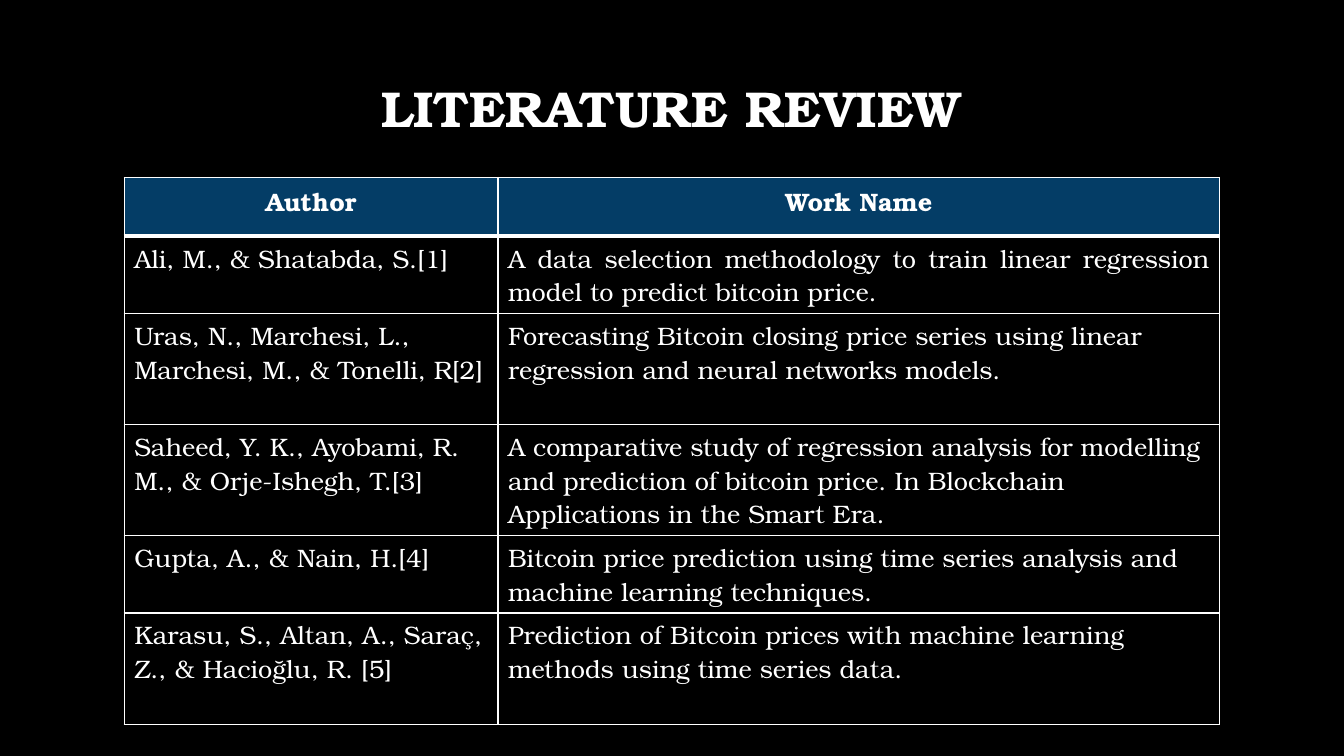
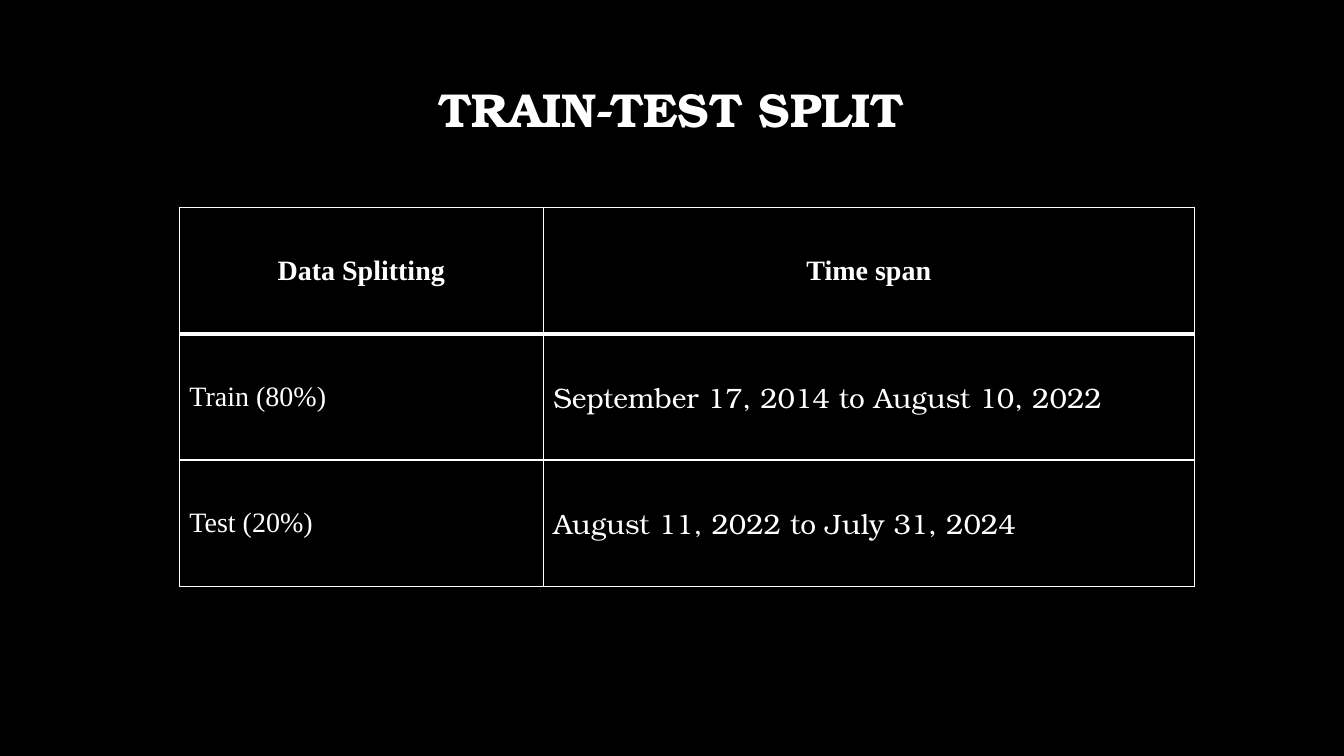
from dataclasses import dataclass

from lxml import etree
from pptx import Presentation
from pptx import util as u
from pptx.dml.color import RGBColor
from pptx.enum import text
from pptx.oxml import ns

Align = text.PP_ALIGN
Anchor = text.MSO_ANCHOR


@dataclass(frozen=True)
class Theme:
    background: str = "000000"
    ink: str = "FFFFFF"
    header: str = "043D66"
    serif: str = "TeX Gyre Bonum"
    times: str = "Times New Roman"
    title_large: int = 36
    title_small: int = 34
    body: int = 18
    body_large: int = 20
    thin: float = 1
    thick: float = 3


THEME = Theme()


@dataclass(frozen=True)
class Entry:
    words: str
    font: str = THEME.serif
    align: Align = Align.LEFT


@dataclass(frozen=True)
class TableSlide:
    """One slide; lengths are in centimetres, the first row is the header."""
    title: str
    title_size: int
    title_top: float
    title_height: float
    left: float
    top: float
    columns: tuple[float, ...]
    heights: tuple[float, ...]
    rows: tuple[tuple[Entry, ...], ...]
    size: int
    anchor: Anchor
    header_fill: str | None = None


def heading(words: str, font: str = THEME.serif) -> Entry:
    return Entry(words, font, Align.CENTER)


SLIDES = (
    TableSlide(
        title="LITERATURE REVIEW", title_size=THEME.title_large,
        title_top=1.19, title_height=3.23,
        left=3.13, top=4.47, columns=(9.42, 18.19),
        heights=(1.48, 1.95, 2.8, 2.8, 1.95, 2.8),
        size=THEME.body, anchor=Anchor.TOP, header_fill=THEME.header,
        rows=(
            (heading("Author"), heading("Work Name")),
            (Entry("Ali, M., & Shatabda, S.[1]"),
             Entry("A data selection methodology to train linear regression "
                   "model to predict bitcoin price.", align=Align.JUSTIFY)),
            (Entry("Uras, N., Marchesi, L., Marchesi, M., & Tonelli, R[2]"),
             Entry("Forecasting Bitcoin closing price series using linear "
                   "regression and neural networks models.")),
            (Entry("Saheed, Y. K., Ayobami, R. M., & Orje-Ishegh, T.[3]"),
             Entry("A comparative study of regression analysis for modelling "
                   "and prediction of bitcoin price. In Blockchain "
                   "Applications in the Smart Era.")),
            (Entry("Gupta, A., & Nain, H.[4]"),
             Entry("Bitcoin price prediction using time series analysis and "
                   "machine learning techniques.")),
            (Entry("Karasu, S., Altan, A., Saraç, Z., & Hacioğlu, R. [5]"),
             Entry("Prediction of Bitcoin prices with machine learning "
                   "methods using time series data.")),
        ),
    ),
    TableSlide(
        title="TRAIN-TEST SPLIT", title_size=THEME.title_small,
        title_top=1.12, title_height=3.4,
        left=4.52, top=5.23, columns=(9.17, 16.41), heights=(3.18,) * 3,
        size=THEME.body_large, anchor=Anchor.MIDDLE,
        rows=(
            (heading("Data Splitting", THEME.times),
             heading("Time span", THEME.times)),
            (Entry("Train (80%)", THEME.times),
             Entry("September 17, 2014 to August 10, 2022")),
            (Entry("Test (20%)", THEME.times),
             Entry("August 11, 2022 to July 31, 2024")),
        ),
    ),
)


def write(frame, words: str, *, size: int, font: str = THEME.serif,
          bold: bool = False, align: Align = Align.LEFT,
          spacing: float = 1.0) -> None:
    para = frame.paragraphs[0]
    para.alignment = align
    para.line_spacing = spacing
    span = para.add_run()
    span.text = words
    span.font.name = font
    span.font.size = u.Pt(size)
    span.font.bold = bold
    span.font.color.rgb = RGBColor.from_string(THEME.ink)


def set_borders(cell, *, top: float, bottom: float) -> None:
    """Draw the four cell edges; the schema wants them ahead of the fill."""
    properties = cell._tc.get_or_add_tcPr()
    edges = {"lnL": THEME.thin, "lnR": THEME.thin, "lnT": top, "lnB": bottom}
    for index, (tag, width) in enumerate(edges.items()):
        line = etree.Element(ns.qn(f"a:{tag}"), w=str(u.Pt(width)))
        fill = etree.SubElement(line, ns.qn("a:solidFill"))
        etree.SubElement(fill, ns.qn("a:srgbClr"), val=THEME.ink)
        properties.insert(index, line)


def add_title(page, content: TableSlide) -> None:
    title = page.shapes.title
    title.left, title.width = u.Cm(2.54), u.Cm(28.75)
    title.top, title.height = u.Cm(content.title_top), u.Cm(content.title_height)
    title.text_frame.vertical_anchor = Anchor.MIDDLE
    write(title.text_frame, content.title, size=content.title_size,
          bold=True, align=Align.CENTER, spacing=0.9)


def add_table(page, content: TableSlide) -> None:
    table = page.shapes.add_table(
        len(content.rows), len(content.columns),
        u.Cm(content.left), u.Cm(content.top),
        u.Cm(sum(content.columns)), u.Cm(sum(content.heights))).table
    table.first_row = table.horz_banding = False
    for column, width in zip(table.columns, content.columns):
        column.width = u.Cm(width)
    for number, (row, height) in enumerate(zip(table.rows, content.heights)):
        row.height = u.Cm(height)
        is_header = number == 0
        for cell, entry in zip(row.cells, content.rows[number]):
            cell.vertical_anchor = content.anchor
            if is_header and content.header_fill:
                cell.fill.solid()
                cell.fill.fore_color.rgb = RGBColor.from_string(content.header_fill)
            else:
                cell.fill.background()
            set_borders(cell,
                        top=THEME.thick if number == 1 else THEME.thin,
                        bottom=THEME.thick if is_header else THEME.thin)
            write(cell.text_frame, entry.words, size=content.size,
                  font=entry.font, bold=is_header, align=entry.align)


def main() -> None:
    deck = Presentation()
    deck.slide_width, deck.slide_height = u.Cm(33.87), u.Cm(19.05)
    backdrop = deck.slide_master.background.fill
    backdrop.solid()
    backdrop.fore_color.rgb = RGBColor.from_string(THEME.background)
    title_only = deck.slide_layouts.get_by_name("Title Only")
    for content in SLIDES:
        page = deck.slides.add_slide(title_only)
        add_title(page, content)
        add_table(page, content)
    deck.save("out.pptx")


if __name__ == "__main__":
    main()
